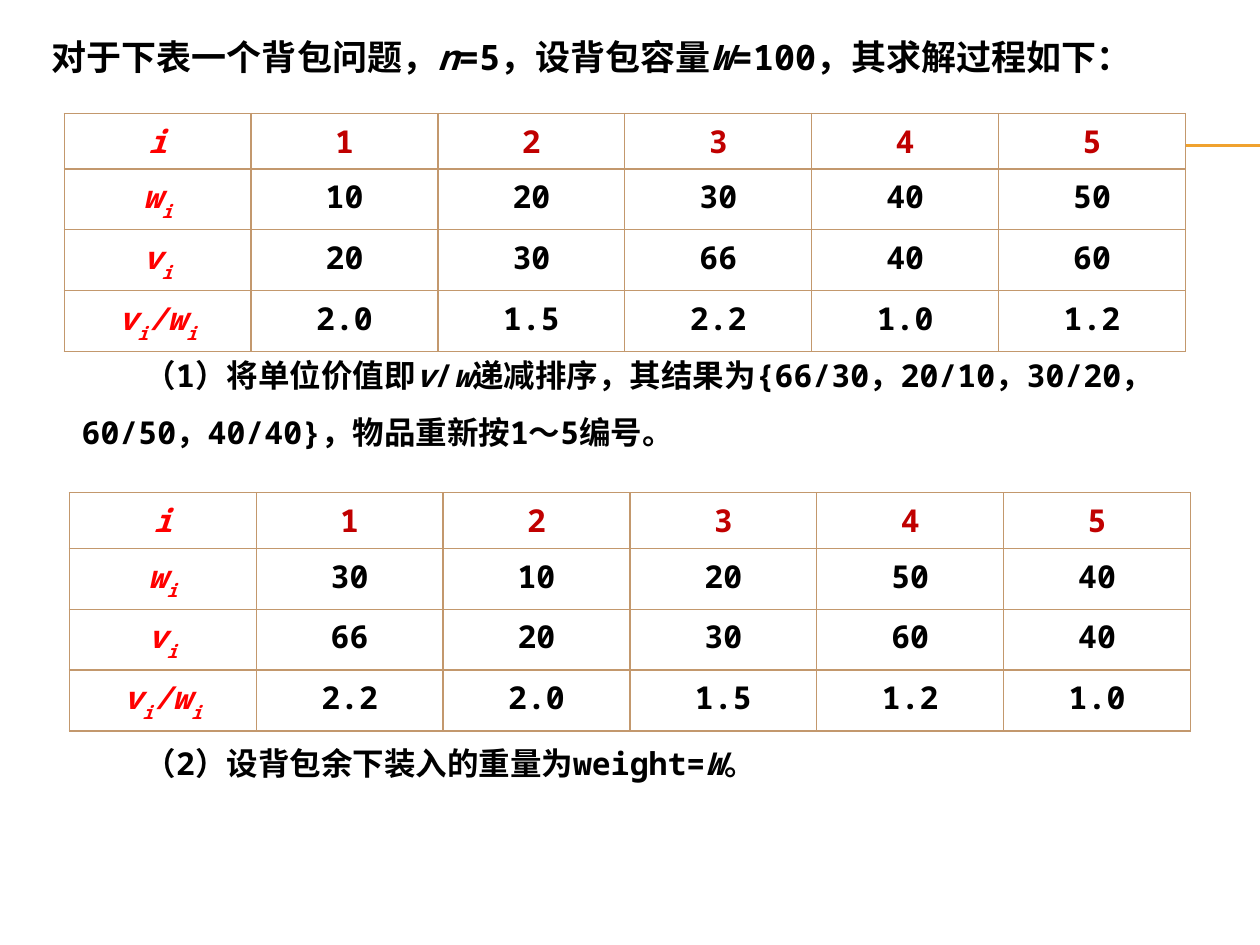
from lxml.etree import SubElement
from pptx import Presentation
from pptx.dml.color import RGBColor
from pptx.enum.shapes import MSO_CONNECTOR
from pptx.enum.text import MSO_ANCHOR, MSO_AUTO_SIZE, PP_ALIGN
from pptx.oxml.ns import qn
from pptx.util import Inches, Pt

WIDE, HIGH = 10, 7.5
BLACK, RED, DARK, WHITE = "000000", "FF0000", "C00000", "FFFFFF"
TAN, GOLD = "C3986D", "F0A22E"


def color(code):
    return RGBColor.from_string(code)


class Board:
    """Holds the style and the slide; lengths are inches on the slide."""
    font = "Noto Sans Mono"
    size = 18

    def __init__(self, deck):
        self.slide = deck.slides.add_slide(deck.slide_layouts[5])

    def style(self, run, tint, size):
        font = run.font
        font.name, font.size, font.bold = self.font, Pt(size), True
        font.color.rgb = color(tint)
        SubElement(font._element, qn("a:ea")).set("typeface", self.font)

    def words(self, para, text, tint=BLACK, size=size):
        """Words between stars are italic."""
        for num, part in enumerate(text.split("*")):
            if part:
                run = para.add_run()
                run.text = part
                self.style(run, tint, size)
                run.font.italic = num % 2 == 1

    def label(self, para, text):
        """Red italic symbol; every second part between bars is a subscript."""
        for num, part in enumerate(text.split("|")):
            if part:
                run = para.add_run()
                run.text = part
                self.style(run, RED, self.size)
                run.font.italic = True
                if num % 2:
                    run.font._element.set("baseline", "-30000")

    def place(self, shape, box):
        shape.left, shape.top, shape.width, shape.height = map(Inches, box)
        frame = shape.text_frame
        frame.word_wrap = True
        frame.auto_size = MSO_AUTO_SIZE.NONE
        frame.vertical_anchor = MSO_ANCHOR.TOP
        para = frame.paragraphs[0]
        para.alignment = PP_ALIGN.LEFT
        return para

    def title(self, box, text):
        self.words(self.place(self.slide.shapes.title, box), text, size=20)

    def note(self, box, text, space=1.0):
        shape = self.slide.shapes.add_textbox(0, 0, 0, 0)
        para = self.place(shape, box)
        para.line_spacing = space
        # First line starts two characters in
        para._p.get_or_add_pPr().set("indent", str(Pt(2 * self.size)))
        self.words(para, text)

    def rule(self, left, top):
        line = self.slide.shapes.add_connector(
            MSO_CONNECTOR.STRAIGHT, Inches(left), Inches(top),
            Inches(WIDE), Inches(top))
        line.line.color.rgb = color(GOLD)
        line.line.width = Pt(0.75)
        SubElement(line._element.spPr, qn("a:effectLst"))

    def border(self, cell):
        props = cell._tc.get_or_add_tcPr()
        for num, side in enumerate(("lnL", "lnR", "lnT", "lnB")):
            edge = props.makeelement(qn("a:" + side), {"w": str(Pt(0.79))})
            fill = SubElement(edge, qn("a:solidFill"))
            SubElement(fill, qn("a:srgbClr")).set("val", TAN)
            props.insert(num, edge)

    def table(self, box, rows):
        grid = self.slide.shapes.add_table(
            len(rows), len(rows[0]), *map(Inches, box)).table
        for r, row in enumerate(rows):
            for c, text in enumerate(row):
                cell = grid.cell(r, c)
                cell.fill.solid()
                cell.fill.fore_color.rgb = color(WHITE)
                self.border(cell)
                para = cell.text_frame.paragraphs[0]
                para.alignment = PP_ALIGN.CENTER
                if c == 0:
                    self.label(para, text)
                else:
                    self.words(para, text, BLACK if r else DARK)


def items(pairs):
    """Table rows for (weight, value) pairs, with the ratio worked out."""
    heads = ("i", "w|i", "v|i", "v|i|/w|i")
    cols = [(str(n), str(w), str(v), f"{v / w:.1f}")
            for n, (w, v) in enumerate(pairs, 1)]
    return list(zip(heads, *cols))


def main():
    deck = Presentation()
    deck.slide_width, deck.slide_height = Inches(WIDE), Inches(HIGH)
    board = Board(deck)
    goods = [(10, 20), (20, 30), (30, 66), (40, 40), (50, 60)]
    ranked = sorted(goods, key=lambda g: g[1] / g[0], reverse=True)

    # Double rule behind the first table
    for top in (1.15, 1.16):
        board.rule(0.56, top)

    # Problem and its data
    board.title((0.31, 0.23, 9.29, 0.44),
                "对于下表一个背包问题，*n*=5，设背包容量*W*=100，其求解过程如下：")
    board.table((0.51, 0.9, 8.9, 1.6), items(goods))

    # Step 1: sort by unit value
    board.note((0.55, 2.63, 9.13, 0.96),
               "（1）将单位价值即*v*/*w*递减排序，其结果为{66/30，20/10，"
               "30/20，60/50，40/40}，物品重新按1～5编号。", 1.5)
    board.table((0.55, 3.91, 8.9, 1.6), items(ranked))

    # Step 2: remaining weight
    board.note((0.55, 5.86, 8.67, 0.4),
               "（2）设背包余下装入的重量为weight=*W*。")
    deck.save("out.pptx")


if __name__ == "__main__":
    main()
